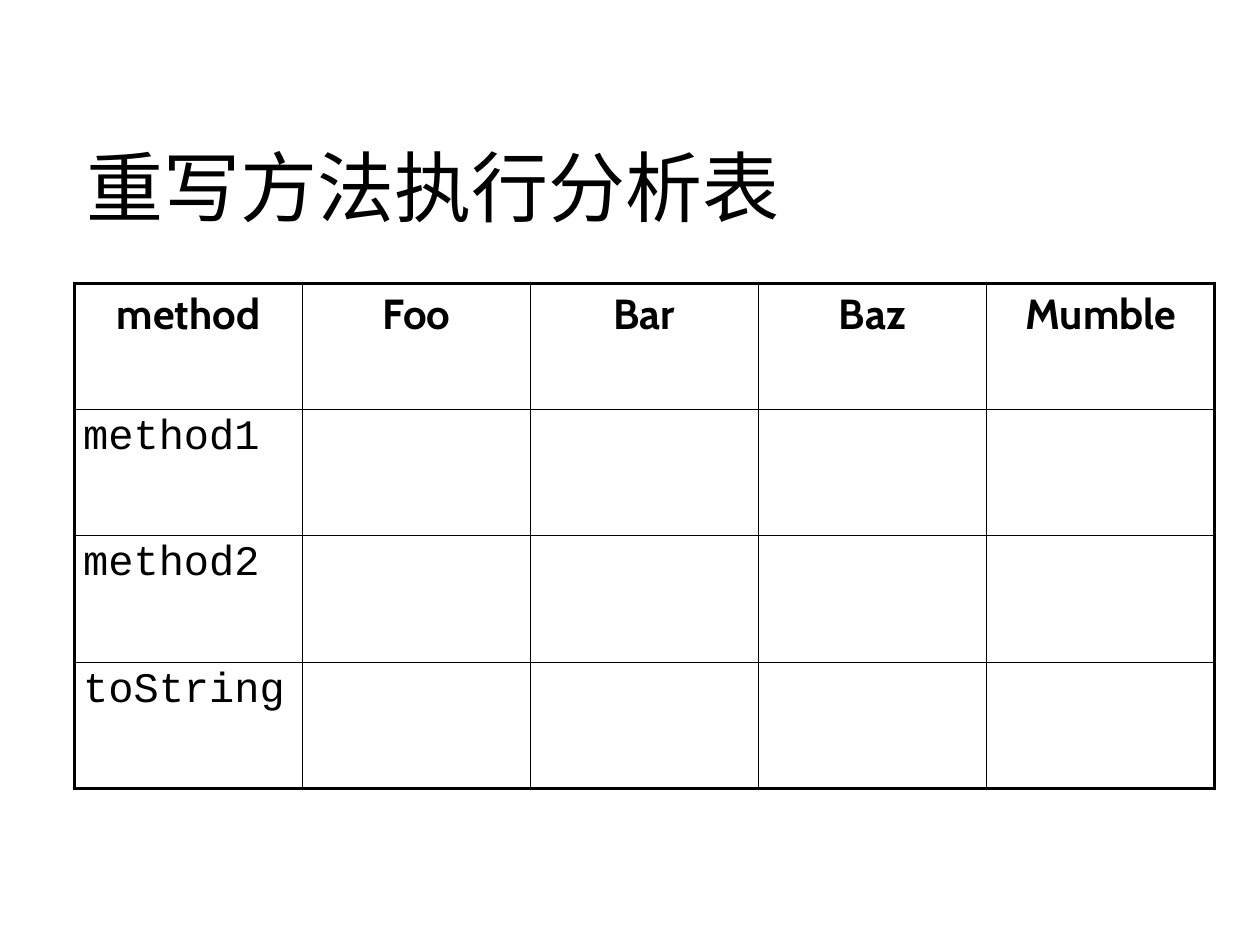
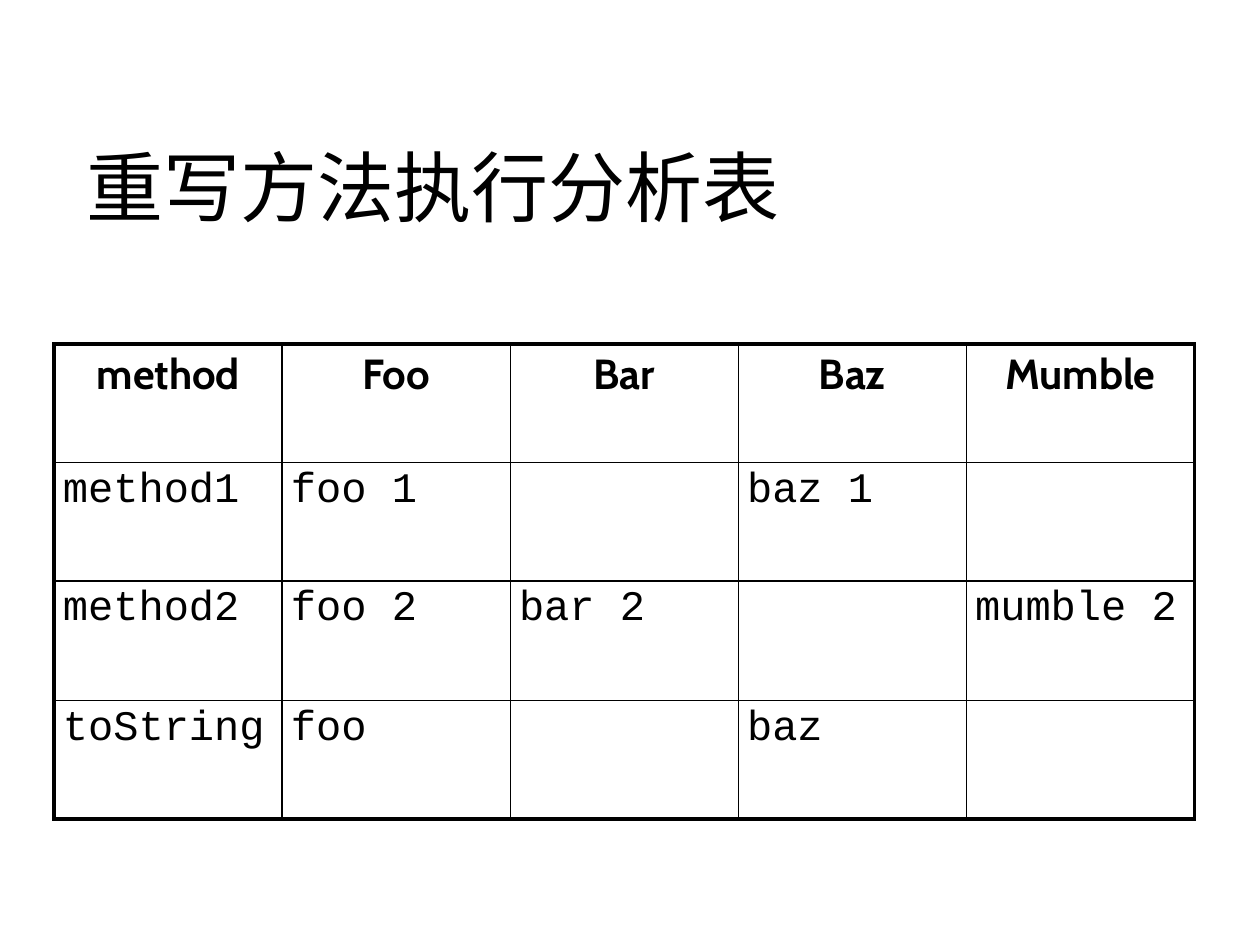
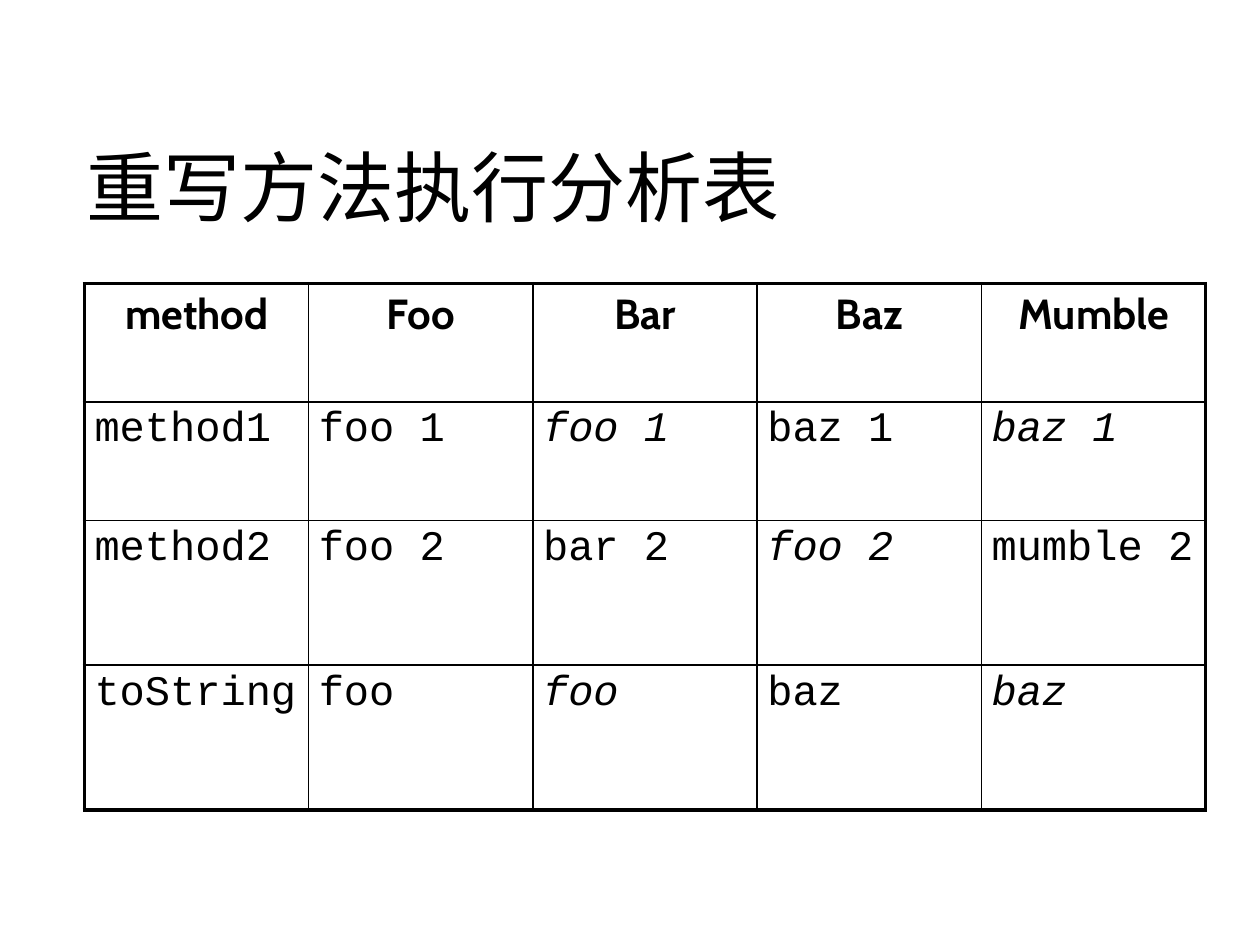
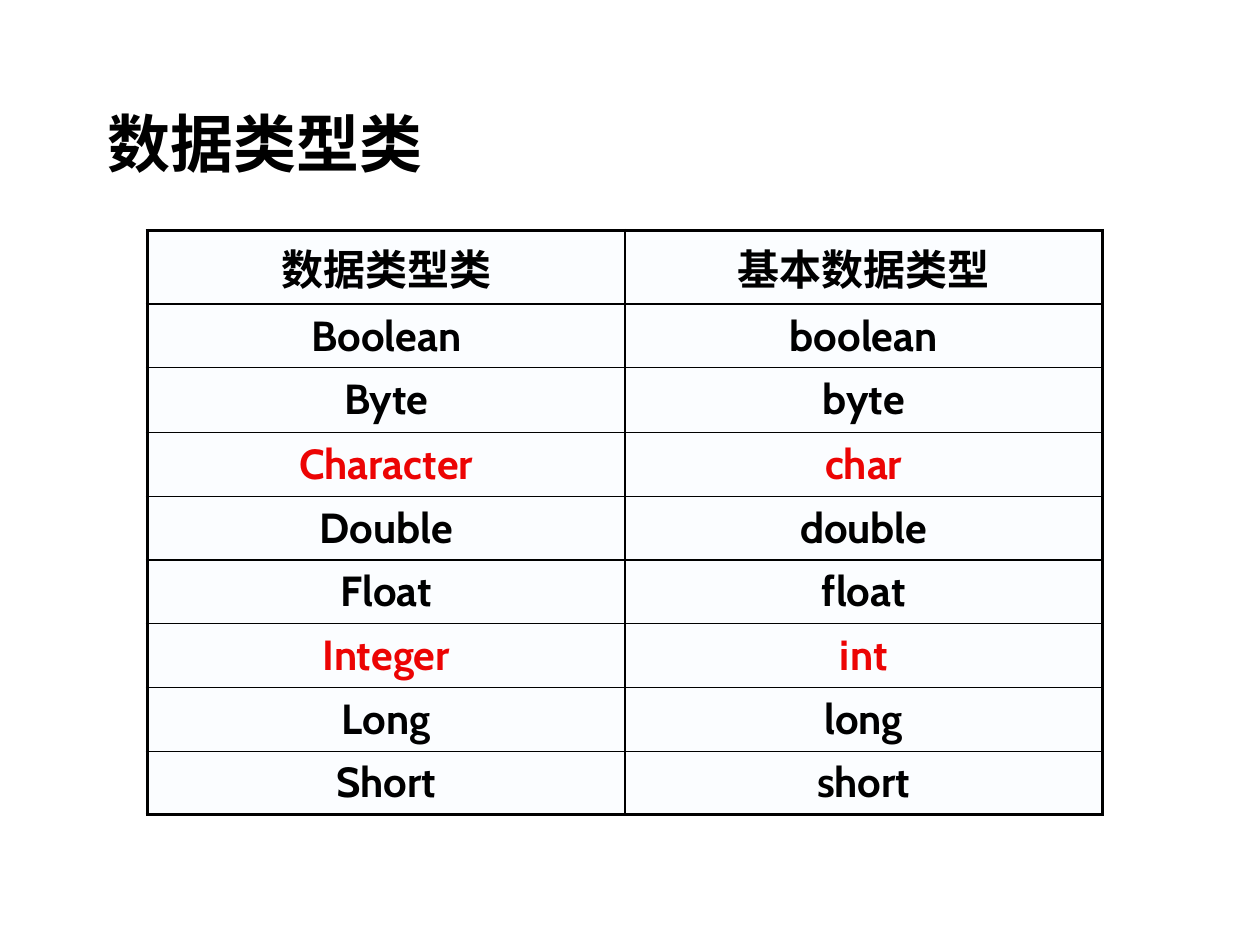
"""Build four slides of method and data type tables."""
from lxml import etree
from pptx import Presentation
from pptx import util as u
from pptx.dml.color import RGBColor
from pptx.enum import text
from pptx.oxml import ns

BLACK, RED, PALE = "000000", "EC0404", "FBFDFF"
SANS, MONO, HAN = "Cabin", "Courier New", "Noto Sans CJK SC"
THICK, HEAD = 2.25, 1
LEFT, MID = text.PP_ALIGN.LEFT, text.PP_ALIGN.CENTER
TOP, CENTER, BOTTOM = (text.MSO_ANCHOR.TOP, text.MSO_ANCHOR.MIDDLE,
                       text.MSO_ANCHOR.BOTTOM)
NAMES = ["method", "Foo", "Bar", "Baz", "Mumble"]


def rgb(code):
    """Turn a hex string into a colour."""
    return RGBColor.from_string(code)


def add(parent, tag, **attrs):
    """Append a drawing element to a parent."""
    return etree.SubElement(parent, ns.qn(tag), attrs)


def style(par, name, size, bold, align, color=BLACK, italic=False):
    """Set alignment and font of a whole paragraph."""
    par.alignment = align
    font = par.font
    font.name, font.size = name, u.Pt(size)
    font.bold, font.italic = bold, italic
    font.color.rgb = rgb(color)
    add(par._p.pPr.find(ns.qn("a:defRPr")), "a:ea", typeface=HAN)


def inset(frame, side, top, right, base):
    """Set the four margins of a text frame or cell."""
    frame.margin_left, frame.margin_top = u.Inches(side), u.Inches(top)
    frame.margin_right, frame.margin_bottom = u.Inches(right), u.Inches(base)


def start(deck, words, box, name, size, bold, anchor, pads):
    """Add a slide with its title placed and styled."""
    slide = deck.slides.add_slide(deck.slide_layouts[5])
    title = slide.shapes.title
    title.left, title.top, title.width, title.height = map(u.Inches, box)
    frame = title.text_frame
    frame.text = words
    frame.auto_size = text.MSO_AUTO_SIZE.NONE
    frame.vertical_anchor = anchor
    inset(frame, *pads)
    par = frame.paragraphs[0]
    par.line_spacing = 0.9
    style(par, name, size, bold, LEFT)
    return slide


def border(cell, widths):
    """Draw the left, right, top and bottom edges of a cell."""
    props = cell._tc.get_or_add_tcPr()
    for side, width in zip("LRTB", widths):
        line = add(props, f"a:ln{side}", w=str(u.Pt(width)))
        add(add(line, "a:solidFill"), "a:srgbClr", val=BLACK)


def edges(row, col, rows, cols, thin):
    """Work out the edge widths of a cell from its place."""
    inner = HEAD if row == 0 else thin
    return (THICK if col == 0 else inner,
            THICK if col == cols - 1 else inner,
            THICK if row == 0 else HEAD if row == 1 else thin,
            THICK if row == rows - 1 else inner)


def grid(slide, data, spot, wide, highs, look, thin=1, pad=0.07,
         high=0.04, anchor=TOP, fill=None):
    """Add a ruled table whose cells are styled by look(row, col)."""
    rows, cols = len(data), len(data[0])
    left, top = map(u.Inches, spot)
    table = slide.shapes.add_table(
        rows, cols, left, top, u.Inches(wide * cols),
        u.Inches(sum(highs))).table
    table.first_row = table.horz_banding = False
    for column in table.columns:
        column.width = u.Inches(wide)
    for row, (line, tall) in enumerate(zip(data, highs)):
        table.rows[row].height = u.Inches(tall)
        for col, words in enumerate(line):
            cell = table.cell(row, col)
            inset(cell, pad, high, pad, high)
            cell.vertical_anchor = anchor
            border(cell, edges(row, col, rows, cols, thin))
            if fill:
                cell.fill.solid()
                cell.fill.fore_color.rgb = rgb(fill)
            else:
                cell.fill.background()
            if words:
                cell.text = words
                style(cell.text_frame.paragraphs[0], **look(row, col))


def methods(deck, body, spot, wide, highs, pad=0.07, slant=()):
    """Add a slide on which method runs for which class."""
    slide = start(deck, "重写方法执行分析表", (0.69, 0.4, 8.62, 1.45),
                  "Calibri", 44, False, BOTTOM, (0, 0.04, 0, 0))

    def look(row, col):
        """Style names in bold and code in a fixed-width font."""
        if row == 0:
            return dict(name=SANS, size=24, bold=True, align=MID)
        return dict(name=MONO, size=24, bold=False, align=LEFT,
                    italic=(row, col) in slant)

    grid(slide, [NAMES] + body, spot, wide, highs, look, pad=pad)


def kinds(deck):
    """Add the slide that pairs wrapper classes with basic types."""
    slide = start(deck, "数据类型类", (0.75, 0.84, 8.5, 0.66),
                  HAN, 36, True, CENTER, (0.1, 0.05, 0.1, 0.05))
    data = [("数据类型类", "基本数据类型"), ("Boolean", "boolean"),
            ("Byte", "byte"), ("Character", "char"), ("Double", "double"),
            ("Float", "float"), ("Integer", "int"), ("Long", "long"),
            ("Short", "short")]

    def look(row, col):
        """Mark in red the pairs whose names differ."""
        odd = data[row][0] in ("Character", "Integer")
        return dict(name=SANS, size=24, bold=True, align=MID,
                    color=RED if odd else BLACK)

    highs = [0.48] * 2 + [0.51] * 2 + [0.48] * 5
    grid(slide, data, (1.17, 1.83), 3.79, highs, look, thin=0.75,
         pad=0.1, high=0.05, anchor=CENTER, fill=PALE)


def main():
    """Build and save the deck."""
    deck = Presentation()
    deck.slide_width, deck.slide_height = u.Inches(10), u.Inches(7.5)
    calls = ["method1", "method2", "toString"]
    methods(deck, [[call] + [""] * 4 for call in calls],
            (0.59, 2.25), 1.81, [1, 1, 1.01, 1])
    methods(deck, [[calls[0], "foo 1", "", "baz 1", ""],
                   [calls[1], "foo 2", "bar 2", "", "mumble 2"],
                   [calls[2], "foo", "", "baz", ""]],
            (0.43, 2.73), 1.81, [0.94, 0.94, 0.95, 0.94])
    methods(deck, [[calls[0], "foo 1", "foo 1", "baz 1", "baz 1"],
                   [calls[1], "foo 2", "bar 2", "foo 2", "mumble 2"],
                   [calls[2], "foo", "foo", "baz", "baz"]],
            (0.67, 2.25), 1.78, [0.94, 0.94, 1.15, 1.15], pad=0.08,
            slant={(1, 2), (1, 4), (2, 3), (3, 2), (3, 4)})
    kinds(deck)
    deck.save("out.pptx")


if __name__ == "__main__":
    main()
